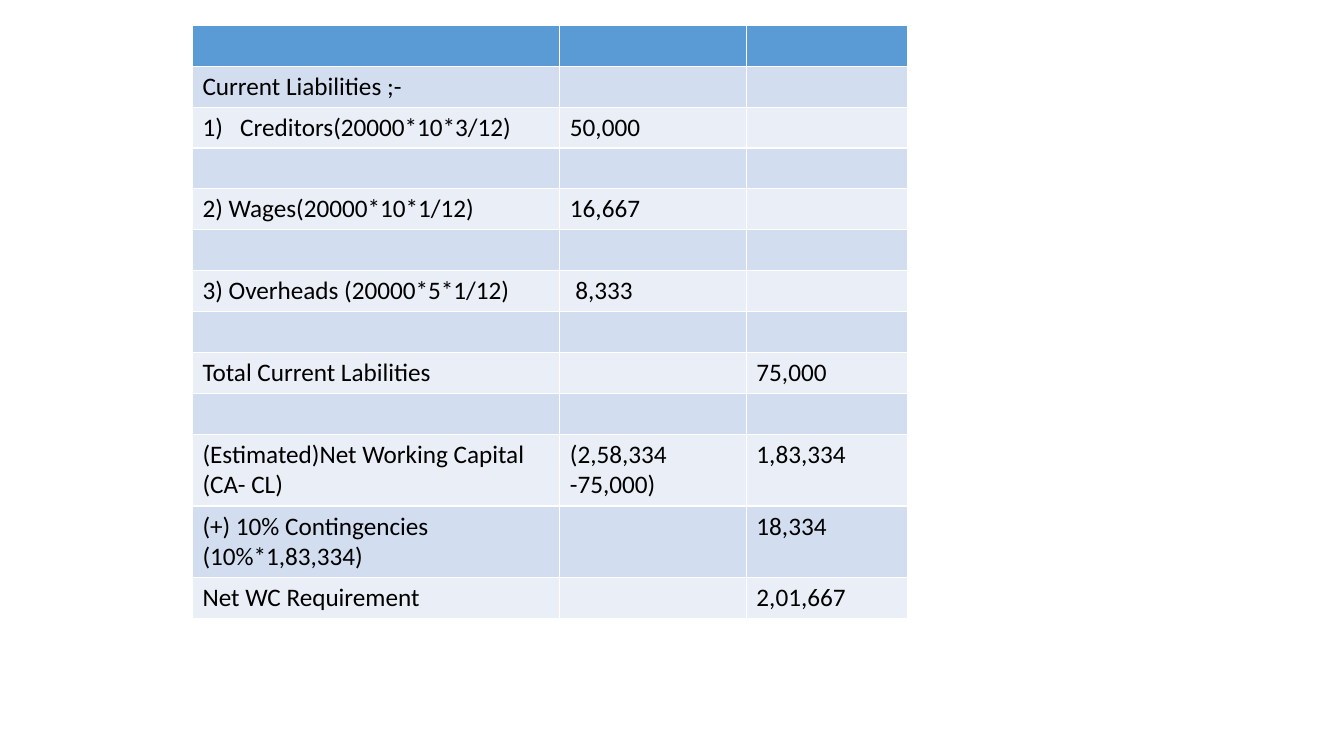
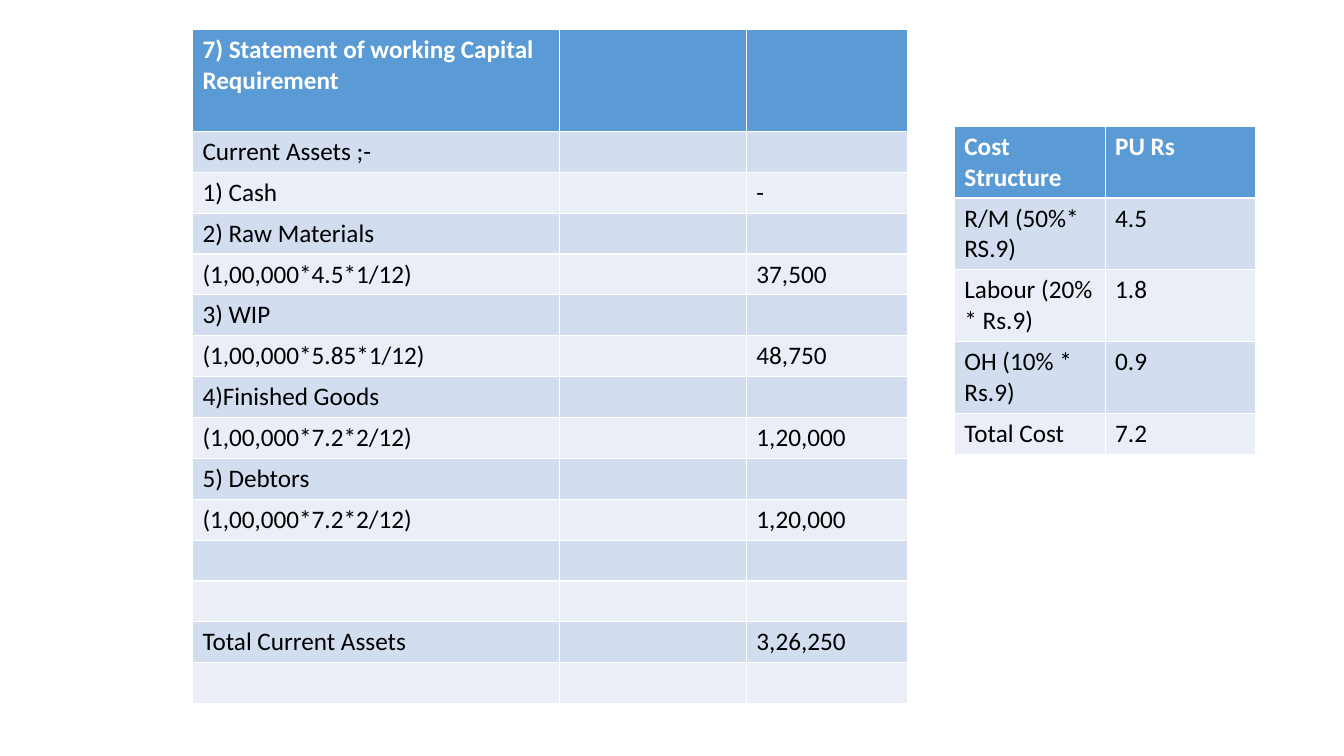
from lxml import etree
from pptx import Presentation
from pptx.dml.color import RGBColor
from pptx.oxml.ns import qn
from pptx.util import Cm, Pt

BLUE = RGBColor(0x5B, 0x9B, 0xD5)
BANDS = [RGBColor(0xEA, 0xEF, 0xF7), RGBColor(0xD2, 0xDE, 0xEF)]
WHITE = RGBColor(0xFF, 0xFF, 0xFF)
BLACK = RGBColor(0, 0, 0)
FONT = "Calibri"
LINE = 1.03  # height of a one-line row
PAIR = 1.81  # height of a two-line row
LEFT = 4.85
WIDE = [9.26, 4.7, 4.06]


def grid(slide, left, top, widths, rows, tall):
    """Add a banded table; tall maps row numbers to heights above one line."""
    frame = slide.shapes.add_table(len(rows), len(widths), Cm(left), Cm(top),
                                   Cm(sum(widths)), Cm(LINE * len(rows)))
    table = frame.table
    for col, width in zip(table.columns, widths):
        col.width = Cm(width)
    for i, row in enumerate(rows):
        table.rows[i].height = Cm(tall.get(i, LINE))
        for j in range(len(widths)):
            cell = table.cell(i, j)
            cell.fill.solid()
            cell.fill.fore_color.rgb = BANDS[i % 2] if i else BLUE
            para = cell.text_frame.paragraphs[0]
            para.text = row[j] if j < len(row) else ""
            para.font.name = FONT
            para.font.size = Pt(18)
            para.font.bold = i == 0
            para.font.color.rgb = BLACK if i else WHITE
    return table


deck = Presentation()
deck.slide_width = Cm(33.87)
deck.slide_height = Cm(19.05)
blank = deck.slide_layouts[6]

# Current liabilities and net requirement
slide = deck.slides.add_slide(blank)
debts = grid(slide, LEFT, 0.64, WIDE, [
    [],
    ["Current Liabilities ;-"],
    ["Creditors(20000*10*3/12)", "50,000"],
    [],
    ["2) Wages(20000*10*1/12)", "16,667"],
    [],
    ["3) Overheads (20000*5*1/12)", "8,333"],
    [],
    ["Total Current Labilities", "", "75,000"],
    [],
    ["(Estimated)Net Working Capital (CA- CL)", "(2,58,334 -75,000)", "1,83,334"],
    ["(+) 10% Contingencies (10%*1,83,334)", "", "18,334"],
    ["Net WC Requirement", "", "2,01,667"],
], {10: PAIR, 11: PAIR})
debts.cell(6, 1).margin_left = Cm(0.39)

props = debts.cell(2, 0).text_frame.paragraphs[0]._p.get_or_add_pPr()
props.set("marL", str(Cm(0.95)))
props.set("indent", str(-Cm(0.95)))
number = etree.Element(qn("a:buAutoNum"), type="arabicParenR")
props.insert(0, number)

# Current assets and cost structure
slide = deck.slides.add_slide(blank)
grid(slide, LEFT, 0.74, WIDE, [
    ["7) Statement of working Capital Requirement"],
    ["Current Assets ;-"],
    ["1) Cash", "", "-"],
    ["2) Raw Materials"],
    ["(1,00,000*4.5*1/12)", "", "37,500"],
    ["3) WIP"],
    ["(1,00,000*5.85*1/12)", "", "48,750"],
    ["4)Finished Goods"],
    ["(1,00,000*7.2*2/12)", "", "1,20,000"],
    ["5) Debtors"],
    ["(1,00,000*7.2*2/12)", "", "1,20,000"],
    [],
    [],
    ["Total Current Assets", "", "3,26,250"],
    [],
], {0: 2.57})
grid(slide, 24.05, 3.18, [3.8, 3.8], [
    ["Cost Structure", "PU Rs"],
    ["R/M (50%* RS.9)", "4.5"],
    ["Labour (20% * Rs.9)", "1.8"],
    ["OH (10% * Rs.9)", "0.9"],
    ["Total Cost", "7.2"],
], dict.fromkeys(range(4), PAIR))

deck.save("out.pptx")
